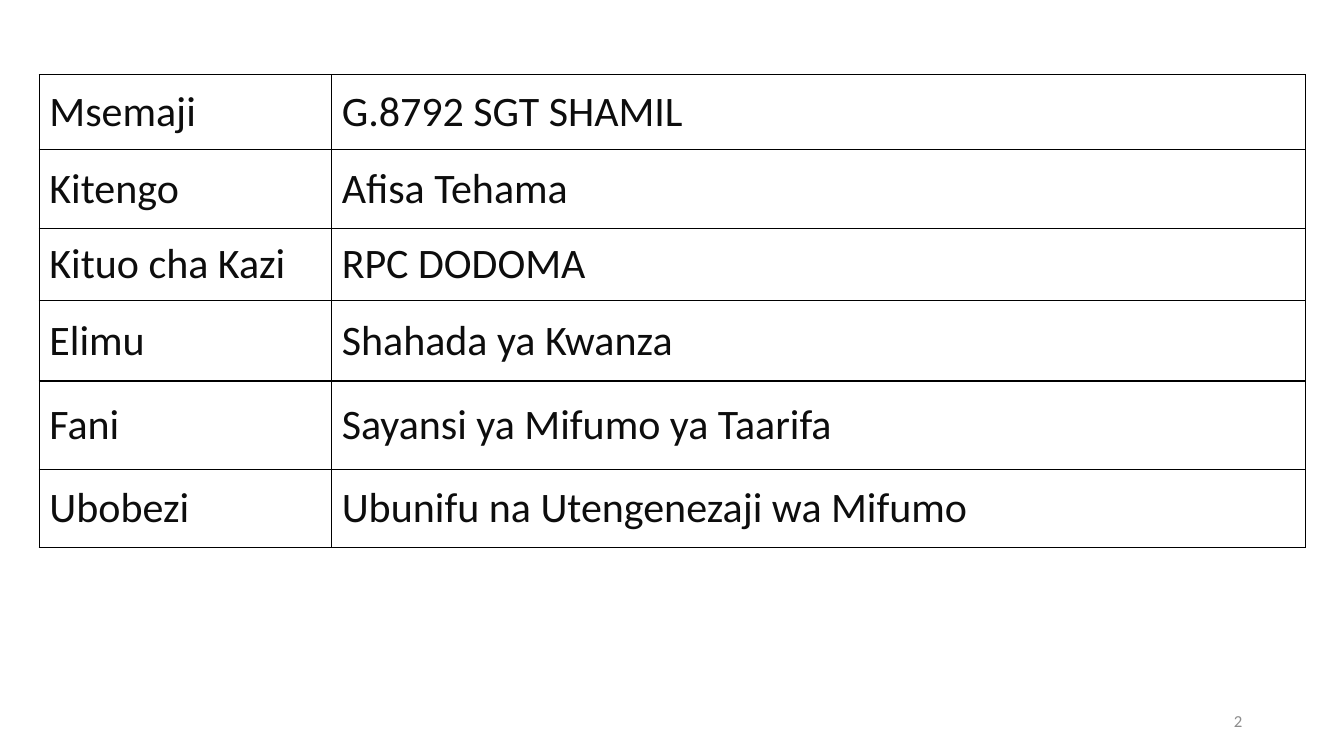
from lxml import etree
from pptx import Presentation
from pptx.dml.color import RGBColor
from pptx.enum.text import MSO_ANCHOR, PP_ALIGN
from pptx.oxml.ns import qn
from pptx.util import Inches, Pt

COLORS = {"text": "0D0D0D", "border": "000000", "number": "8C8C8C"}
COLUMNS = [2.9, 9.66]
ROWS = [
    (0.74, "Msemaji", "G.8792 SGT SHAMIL"),
    (0.79, "Kitengo", "Afisa Tehama"),
    (0.71, "Kituo cha Kazi", "RPC DODOMA"),
    (0.8, "Elimu", "Shahada ya Kwanza"),
    (0.88, "Fani", "Sayansi ya Mifumo ya Taarifa"),
    (0.77, "Ubobezi", "Ubunifu na Utengenezaji wa Mifumo"),
]


def write(tf, text, size, color):
    p = tf.paragraphs[0]
    p.text = text
    p.font.name = "Calibri"
    p.font.size = Pt(size)
    p.font.color.rgb = RGBColor.from_string(COLORS[color])
    return p


def add_borders(cell):
    tcPr = cell._tc.get_or_add_tcPr()
    for i, side in enumerate(("a:lnL", "a:lnR", "a:lnT", "a:lnB")):
        ln = etree.Element(qn(side), w=str(Pt(1)))
        fill = etree.SubElement(ln, qn("a:solidFill"))
        etree.SubElement(fill, qn("a:srgbClr"), val=COLORS["border"])
        tcPr.insert(i, ln)


prs = Presentation()
prs.slide_width = Inches(13.33)
prs.slide_height = Inches(7.5)
slide = prs.slides.add_slide(prs.slide_layouts[6])

number = slide.shapes.add_textbox(Inches(9.42), Inches(6.95), Inches(3), Inches(0.4))
tf = number.text_frame
tf.word_wrap = True
tf.vertical_anchor = MSO_ANCHOR.MIDDLE
write(tf, "2", 12, "number").alignment = PP_ALIGN.RIGHT

height = sum(row[0] for row in ROWS)
table = slide.shapes.add_table(
    len(ROWS), len(COLUMNS), Inches(0.39), Inches(0.74), Inches(sum(COLUMNS)), Inches(height)
).table
table.first_row = False
table.horz_banding = False
for column, width in zip(table.columns, COLUMNS):
    column.width = Inches(width)
for row, (row_height, *texts) in zip(table.rows, ROWS):
    row.height = Inches(row_height)
    for cell, text in zip(row.cells, texts):
        cell.fill.background()
        cell.vertical_anchor = MSO_ANCHOR.MIDDLE
        write(cell.text_frame, text, 30, "text")
        add_borders(cell)

prs.save("out.pptx")
